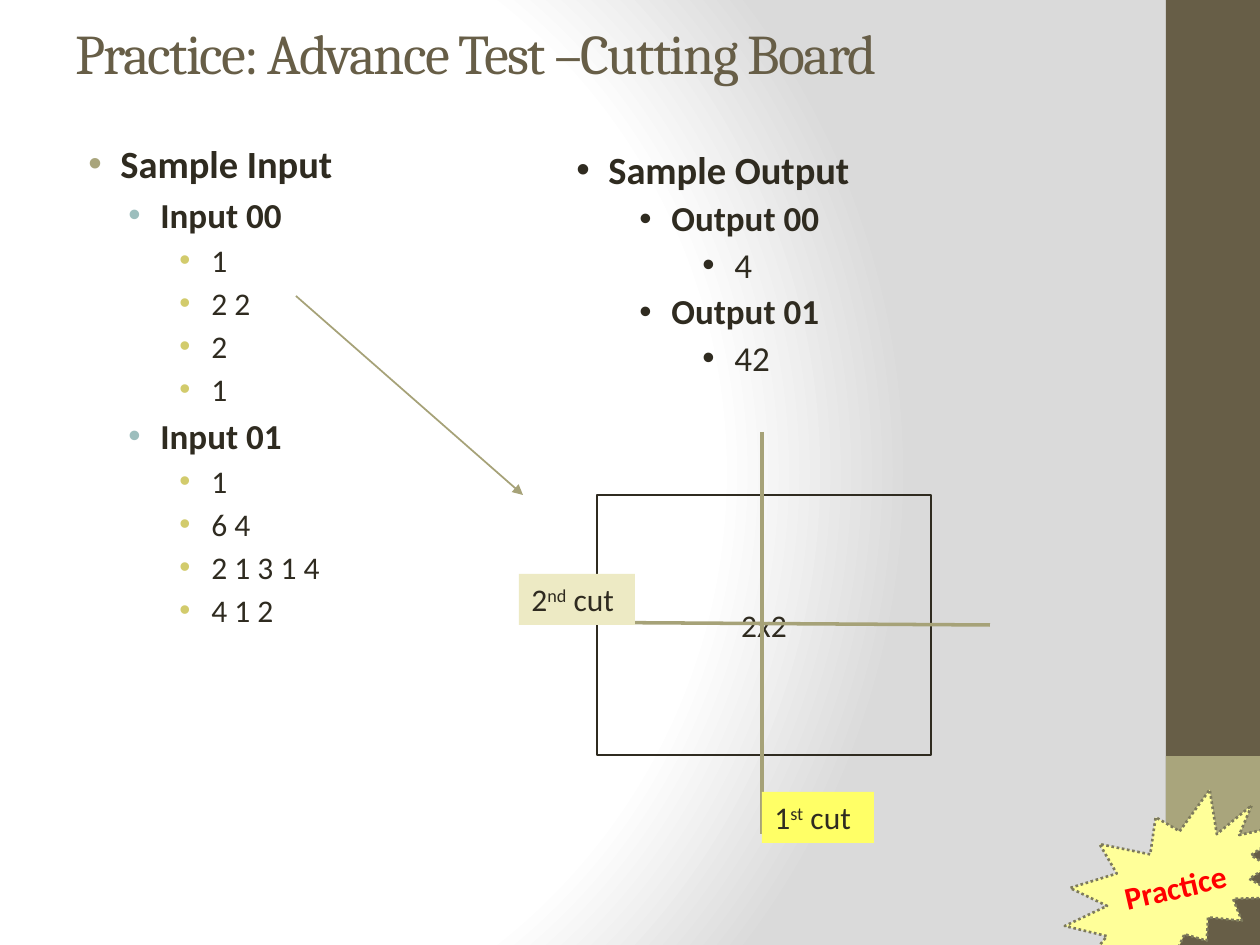
from lxml import etree
from pptx import Presentation
from pptx import util as u
from pptx.dml.color import RGBColor
from pptx.enum import dml, shapes, text
from pptx.oxml import parse_xml
from pptx.oxml.ns import qn

EMU_PER_PX = 914400 / 126
COLORS = {
    "brown": "675E47", "olive": "A9A57C", "line": "A6A278", "ink": "2F2B20",
    "teal": "9CBEBD", "lime": "D2CB6C", "star": "FFFF99", "star edge": "7D7A5C",
    "red": "FF0000", "yellow": "FFFF66", "cream": "EDEAC4",
}


def px(*lengths):
    return [u.Emu(round(n * EMU_PER_PX)) for n in lengths]


def style(run, size, color="ink", bold=False, font="Calibri"):
    run.font.size, run.font.bold, run.font.name = u.Pt(size), bold, font
    run.font.color.rgb = RGBColor.from_string(COLORS[color])


prs = Presentation()
prs.slide_width, prs.slide_height = px(1260, 945)
slide = prs.slides.add_slide(prs.slide_layouts[5])

# Background: radial gradient from white to grey
slide.background.fill.gradient()
background = slide.background.fill._xPr
background.replace(background.find(qn("a:gradFill")), parse_xml(
    '<a:gradFill xmlns:a="http://schemas.openxmlformats.org/drawingml/2006/main" rotWithShape="1">'
    '<a:gsLst><a:gs pos="0"><a:srgbClr val="FFFFFF"/></a:gs>'
    '<a:gs pos="75000"><a:srgbClr val="FFFFFF"/></a:gs>'
    '<a:gs pos="100000"><a:srgbClr val="DADADA"/></a:gs></a:gsLst>'
    '<a:path path="circle"><a:fillToRect l="20000" t="50000" r="100000" b="50000"/></a:path>'
    '</a:gradFill>'))

# Side band
for top, height, color in [(0, 945, "brown"), (756, 95, "olive")]:
    band = slide.shapes.add_shape(shapes.MSO_SHAPE.RECTANGLE, *px(1166, top, 94, height))
    band.shadow.inherit = False
    band.fill.solid()
    band.fill.fore_color.rgb = RGBColor.from_string(COLORS[color])
    band.line.fill.background()

# Title
title = slide.shapes.title
title.left, title.top, title.width, title.height = px(63, 0, 1050, 105)
title.text_frame.text = "Practice: Advance Test –Cutting Board"
title.text_frame.vertical_anchor = text.MSO_ANCHOR.MIDDLE
heading = title.text_frame.paragraphs[0]
heading.alignment = text.PP_ALIGN.LEFT
style(heading.runs[0], 32, "brown", font="Cambria")
heading.runs[0].font._element.set("spc", "-100")

# Practice star
star = slide.shapes.add_shape(shapes.MSO_SHAPE.EXPLOSION2, *px(1058, 798, 251, 168))
star.rotation = 347
star.shadow.inherit = False
star.fill.solid()
star.fill.fore_color.rgb = RGBColor.from_string(COLORS["star"])
star.line.color.rgb = RGBColor.from_string(COLORS["star edge"])
star.line.width = u.Pt(1.5)
star.line.dash_style = dml.MSO_LINE.ROUND_DOT
label = star.text_frame
label.margin_left = label.margin_right = label.margin_top = label.margin_bottom = 0
label.vertical_anchor = text.MSO_ANCHOR.MIDDLE
label.text = "Practice"
label.paragraphs[0].alignment = text.PP_ALIGN.CENTER
style(label.paragraphs[0].runs[0], 18, "red", True)

# Sample lists: box, line spacing, levels (indent, size, space before, bullet colour), items
sample_lists = [
    ((60, 134, 456, 529), 1.0,
     [(48, 22, 4, "olive"), (88, 20, 4, "teal"), (139, 18, 3, "lime")],
     [(0, "Sample Input"),
      (1, "Input 00"), (2, "1"), (2, "2 2"), (2, "2"), (2, "1"),
      (1, "Input 01"), (2, "1"), (2, "6 4"), (2, "2 1 3 1 4"), (2, "4 1 2")]),
    ((564, 145, 456, 302), 0.9,
     [(32, 22, 10, "ink"), (95, 20, 5, "ink"), (158, 20, 5, "ink")],
     [(0, "Sample Output"),
      (1, "Output 00"), (2, "4"), (1, "Output 01"), (2, "42")]),
]
for box, spacing, levels, items in sample_lists:
    sample = slide.shapes.add_textbox(*px(*box)).text_frame
    sample.word_wrap = True
    sample.text = "\n".join(words for _, words in items)
    for paragraph, (level, _) in zip(sample.paragraphs, items):
        indent, size, before, bullet = levels[level]
        paragraph.level = level
        paragraph.line_spacing = spacing
        paragraph.space_before = u.Pt(before)
        style(paragraph.runs[0], size, bold=level < 2)
        props = paragraph._p.get_or_add_pPr()
        props.set("marL", str(px(indent)[0]))
        props.set("indent", str(px(-32)[0]))
        bullet_color = etree.SubElement(props, qn("a:buClr"))
        etree.SubElement(bullet_color, qn("a:srgbClr"), val=COLORS[bullet])
        etree.SubElement(props, qn("a:buFont"), typeface="Arial")
        etree.SubElement(props, qn("a:buChar"), char="•")

# Board
board = slide.shapes.add_shape(shapes.MSO_SHAPE.RECTANGLE, *px(597, 495, 334, 260))
board.shadow.inherit = False
board.fill.background()
board.line.color.rgb = RGBColor.from_string(COLORS["ink"])
board.line.width = u.Pt(1.5)
board.text_frame.vertical_anchor = text.MSO_ANCHOR.MIDDLE
board.text_frame.text = "2x2"
board.text_frame.paragraphs[0].alignment = text.PP_ALIGN.CENTER
style(board.text_frame.paragraphs[0].runs[0], 18)

# Arrow from the input, then the two cuts
for ends, width, has_head in [((296, 296, 523, 495), 1, True),
                              ((762, 432, 762, 834), 2, False),
                              ((523, 622, 990, 625), 2, False)]:
    cut = slide.shapes.add_connector(shapes.MSO_CONNECTOR.STRAIGHT, *px(*ends))
    cut.line.color.rgb = RGBColor.from_string(COLORS["line"])
    cut.line.width = u.Pt(width)
    if has_head:
        etree.SubElement(cut.line._get_or_add_ln(), qn("a:tailEnd"), type="triangle")
    etree.SubElement(cut._element.spPr, qn("a:effectLst"))

# Cut labels
for box, color, number, suffix in [((762, 792, 112, 51), "yellow", "1", "st"),
                                   ((519, 574, 116, 51), "cream", "2", "nd")]:
    tag = slide.shapes.add_textbox(*px(*box))
    tag.fill.solid()
    tag.fill.fore_color.rgb = RGBColor.from_string(COLORS[color])
    tag.text_frame.word_wrap = True
    for words in (number, suffix, " cut"):
        run = tag.text_frame.paragraphs[0].add_run()
        run.text = words
        style(run, 18)
        if words == suffix:
            run.font._element.set("baseline", "30000")

prs.save("out.pptx")
